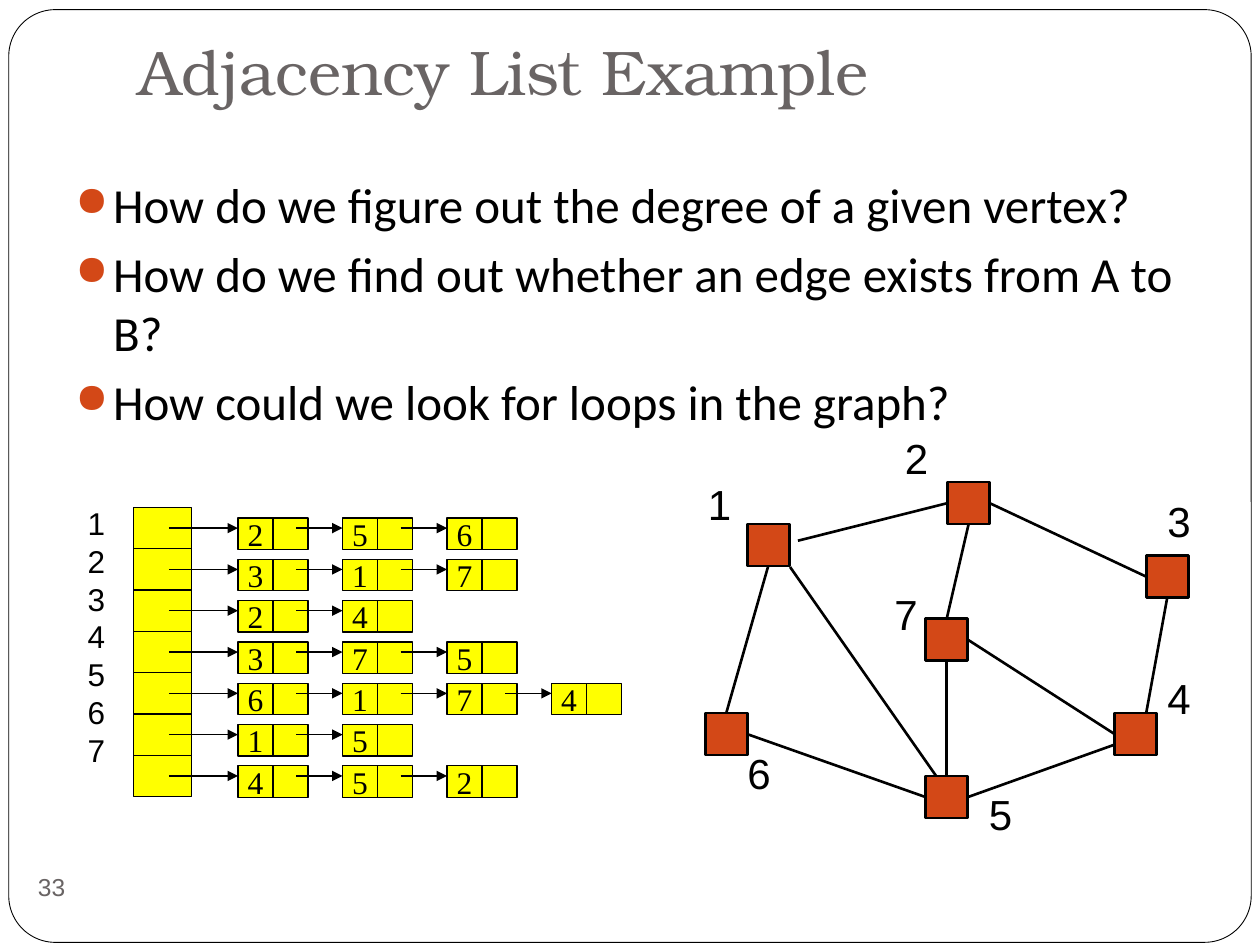
import pptx
import pptx.dml.color
import pptx.enum.shapes
import pptx.enum.text
import pptx.oxml
import pptx.oxml.ns
import pptx.util

Pt = pptx.util.Pt
RGBColor = pptx.dml.color.RGBColor
MSO_SHAPE = pptx.enum.shapes.MSO_SHAPE
STRAIGHT = pptx.enum.shapes.MSO_CONNECTOR.STRAIGHT
PP_ALIGN = pptx.enum.text.PP_ALIGN
MSO_ANCHOR = pptx.enum.text.MSO_ANCHOR

BLACK = RGBColor(0x00, 0x00, 0x00)
WHITE = RGBColor(0xFF, 0xFF, 0xFF)
GREY = RGBColor(0x69, 0x64, 0x64)
ORANGE = RGBColor(0xD3, 0x48, 0x17)
YELLOW = RGBColor(0xFF, 0xFF, 0x00)
NS = pptx.oxml.ns.nsdecls("a")

prs = pptx.Presentation()
prs.slide_width, prs.slide_height = Pt(720), Pt(540)
s = prs.slides.add_slide(prs.slide_layouts[5])


def add_box(kind, x, y, w, h, fill, line_width):
    sp = s.shapes.add_shape(kind, Pt(x), Pt(y), Pt(w), Pt(h))
    sp.shadow.inherit = False
    if fill is None:
        sp.fill.background()
        sp.line.fill.background()
    else:
        sp.fill.solid()
        sp.fill.fore_color.rgb = fill
        sp.line.color.rgb = BLACK
        sp.line.width = Pt(line_width)
    return sp


def add_text(p, text, size, font, color):
    r = p.add_run()
    r.text = text
    r.font.size = Pt(size)
    r.font.name = font
    r.font.color.rgb = color


# Frame, behind the title
frame = add_box(MSO_SHAPE.ROUNDED_RECTANGLE, 5, 5.5, 710, 533, WHITE, 0.5)
frame.adjustments[0] = 0.05
s.shapes._spTree.insert(2, frame._element)

# Title
title = s.shapes.title
title.left, title.top, title.width, title.height = Pt(72), Pt(21.6), Pt(612), Pt(90)
tf = title.text_frame
tf.vertical_anchor = MSO_ANCHOR.BOTTOM
tf.margin_bottom = Pt(50)
p = tf.paragraphs[0]
p.alignment = PP_ALIGN.LEFT
add_text(p, "Adjacency List Example", 36, "TeX Gyre Bonum", GREY)

# Slide number
number = add_box(MSO_SHAPE.OVAL, 11.5, 489, 36, 36, None, 0)
tf = number.text_frame
tf.word_wrap = False
tf.margin_left = tf.margin_top = tf.margin_right = tf.margin_bottom = 0
add_text(tf.paragraphs[0], "33", 14, "Arial", GREY)

# Questions
questions = [
    "How do we figure out the degree of a given vertex?",
    "How do we find out whether an edge exists from A to B?",
    "How could we look for loops in the graph?",
]
tf = s.shapes.add_textbox(Pt(36), Pt(96), Pt(648), Pt(389)).text_frame
tf.word_wrap = True
for i, question in enumerate(questions):
    p = tf.paragraphs[0] if i == 0 else tf.add_paragraph()
    p.space_before = Pt(5.8)
    pPr = p._p.get_or_add_pPr()
    pPr.set("marL", str(Pt(21.6)))
    pPr.set("indent", str(-Pt(21.6)))
    for xml in (f'<a:buClr {NS}><a:srgbClr val="{ORANGE}"/></a:buClr>',
                f'<a:buSzPct {NS} val="85000"/>',
                f'<a:buChar {NS} char="●"/>'):
        pPr.append(pptx.oxml.parse_xml(xml))
    add_text(p, question, 28, "Calibri", BLACK)

# Graph: vertex -> square corner, label corner
vertices = {
    1: ((427, 299.5), (397.5, 270)),
    2: ((541.5, 275.5), (510, 243.5)),
    3: ((655, 317.5), (660, 279.5)),
    4: ((637, 407.5), (660, 381)),
    5: ((529, 443.5), (558, 447)),
    6: ((403, 407.5), (420, 423.5)),
    7: ((529, 353.5), (504, 332.5)),
}
squares = {}
for vertex, (corner, label) in vertices.items():
    squares[vertex] = add_box(MSO_SHAPE.RECTANGLE, *corner, 24, 24, ORANGE, 1.5)
    tf = s.shapes.add_textbox(Pt(label[0]), Pt(label[1]), Pt(28), Pt(36)).text_frame
    tf.word_wrap = False
    add_text(tf.paragraphs[0], str(vertex), 24, "Arial", BLACK)

# Each end is (vertex, side); where side is None, the end is a free point
TOP, LEFT, BOTTOM, RIGHT = range(4)
edges = [
    ((456, 309), None, 2, LEFT),
    (2, BOTTOM, 7, TOP),
    (2, RIGHT, 3, LEFT),
    (7, RIGHT, 4, LEFT),
    (3, BOTTOM, (655, 407.5), None),
    (7, BOTTOM, 5, TOP),
    (5, RIGHT, (637, 425.5), None),
    (6, RIGHT, 5, LEFT),
    (1, BOTTOM, 6, TOP),
    ((451.5, 324), None, (535, 443.5), None),
]
lines = []
for start, start_side, end, end_side in edges:
    x1, y1 = start if start_side is None else vertices[start][0]
    x2, y2 = end if end_side is None else vertices[end][0]
    edge = s.shapes.add_connector(STRAIGHT, Pt(x1), Pt(y1), Pt(x2), Pt(y2))
    if start_side is not None:
        edge.begin_connect(squares[start], start_side)
    if end_side is not None:
        edge.end_connect(squares[end], end_side)
    edge.line.width = Pt(1.5)
    lines.append(edge)

# Adjacency list: one array cell and one chain of two-part nodes per vertex
adjacency = [[2, 5, 6], [3, 1, 7], [2, 4], [3, 7, 5], [6, 1, 7, 4], [1, 5], [4, 5, 2]]
ROW, STEP, PART = 23.6, 59.75, 20
tf = s.shapes.add_textbox(Pt(43), Pt(284.5), Pt(26), Pt(175)).text_frame
tf.word_wrap = False
for i, neighbours in enumerate(adjacency):
    p = tf.paragraphs[0] if i == 0 else tf.add_paragraph()
    add_text(p, str(i + 1), 18, "Arial", BLACK)
    add_box(MSO_SHAPE.RECTANGLE, 76.5, 290 + i * ROW, 33, ROW, YELLOW, 0.75)
    y = 296 + i * ROW
    for j, neighbour in enumerate(neighbours):
        x = 136 + j * STEP
        value = add_box(MSO_SHAPE.RECTANGLE, x, y, PART, 18, YELLOW, 0.75)
        value.text_frame.word_wrap = False
        add_text(value.text_frame.paragraphs[0], str(neighbour), 18,
                 "Times New Roman", BLACK)
        add_box(MSO_SHAPE.RECTANGLE, x + PART, y, PART, 18, YELLOW, 0.75)
    for j in range(len(neighbours)):
        x = 136 + j * STEP
        tail = 96.5 if j == 0 else x - 26.6
        arrow = s.shapes.add_connector(STRAIGHT, Pt(tail), Pt(y + 5.8), Pt(x), Pt(y + 5.8))
        arrow.line.width = Pt(0.75)
        arrow.line._get_or_add_ln().append(
            pptx.oxml.parse_xml(f'<a:tailEnd {NS} type="triangle"/>'))
        lines.append(arrow)

for line in lines:
    line.line.color.rgb = BLACK
    line._element.spPr.append(pptx.oxml.parse_xml(f"<a:effectLst {NS}/>"))

prs.save("out.pptx")
